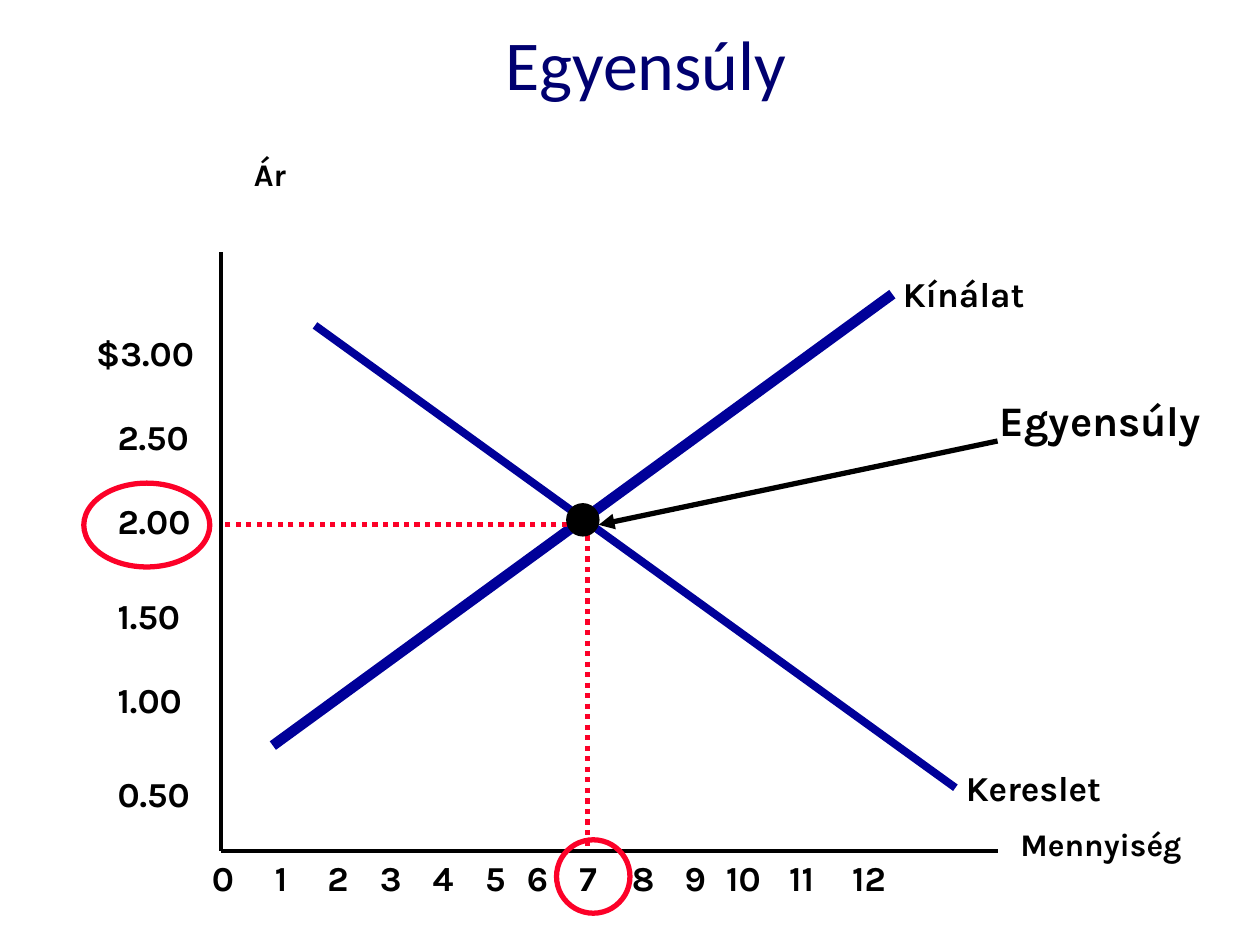
from lxml.etree import SubElement
from pptx import Presentation
from pptx.dml.color import RGBColor
from pptx.enum.dml import MSO_LINE
from pptx.enum.shapes import MSO_CONNECTOR, MSO_SHAPE
from pptx.enum.text import MSO_ANCHOR, PP_ALIGN
from pptx.oxml.ns import qn
from pptx.util import Cm, Pt

BLACK = RGBColor(0x00, 0x00, 0x00)
NAVY = RGBColor(0x00, 0x00, 0x70)
BLUE = RGBColor(0x00, 0x00, 0x99)
RED = RGBColor(0xFC, 0x01, 0x28)

QUANTITY_LEFTS = [4.02, 5.29, 6.35, 7.41, 8.47, 9.53, 10.37,
                  11.43, 12.49, 13.55, 14.39, 15.66, 16.93]
PRICE_TOPS = {"2.50": 8.26, "2.00": 9.95, "1.50": 11.85,
              "1.00": 13.55, "0.50": 15.45}
AXIS_X, AXIS_Y = 4.45, 17.15
EQUILIBRIUM_X, EQUILIBRIUM_Y = 11.85, 10.58


def add_text(slide, text, left, top, width, height, size=20, inset=True):
    sp = slide.shapes.add_textbox(Cm(left), Cm(top), Cm(width), Cm(height))
    tf = sp.text_frame
    tf.word_wrap = inset
    if not inset:
        tf.margin_left = tf.margin_right = tf.margin_top = tf.margin_bottom = 0
    p = tf.paragraphs[0]
    p.text = text
    p.font.name = "Karla"
    p.font.size = Pt(size)
    p.font.bold = True
    p.font.color.rgb = BLACK
    return sp


def add_title(slide, text):
    tf = add_text(slide, text, 0.64, 0.2, 24.76, 2.12, 40).text_frame
    tf.vertical_anchor = MSO_ANCHOR.MIDDLE
    p = tf.paragraphs[0]
    p.alignment = PP_ALIGN.CENTER
    p.font.name = "Calibri"
    p.font.bold = False
    p.font.color.rgb = NAVY


def add_line(slide, start, end, color, width, dash=None, arrow=False):
    x1, y1 = start
    x2, y2 = end
    line = slide.shapes.add_connector(
        MSO_CONNECTOR.STRAIGHT, Cm(x1), Cm(y1), Cm(x2), Cm(y2))
    line.line.color.rgb = color
    line.line.width = Pt(width)
    if dash:
        line.line.dash_style = dash
    if arrow:
        SubElement(line.line._get_or_add_ln(), qn("a:headEnd"), type="triangle")
    SubElement(line._element.spPr, qn("a:effectLst"))


def add_ellipse(slide, left, top, width, height, color, weight, filled=False):
    sp = slide.shapes.add_shape(
        MSO_SHAPE.OVAL, Cm(left), Cm(top), Cm(width), Cm(height))
    sp.shadow.inherit = False
    sp.line.color.rgb = color
    sp.line.width = Pt(weight)
    if filled:
        sp.fill.solid()
        sp.fill.fore_color.rgb = color
    else:
        sp.fill.background()


def add_curves(slide):
    add_line(slide, (5.5, 15.03), (17.99, 5.93), BLUE, 6)
    add_text(slide, "Kínálat", 18.2, 5.5, 2.54, 0.85, inset=False)
    add_line(slide, (6.35, 6.56), (19.26, 15.88), BLUE, 4.5)
    add_text(slide, "Kereslet", 19.47, 15.45, 2.92, 0.85, inset=False)


def add_axes(slide):
    origin = (AXIS_X, AXIS_Y)
    add_line(slide, (AXIS_X, 5.08), origin, BLACK, 2.25)
    add_line(slide, origin, (20.11, AXIS_Y), BLACK, 2.25)
    add_text(slide, "Ár", 4.87, 3, 4.23, 1.02, 18)
    add_text(slide, "Mennyiség", 20.32, 16.51, 4.23, 1.02, 18)
    for quantity, left in enumerate(QUANTITY_LEFTS):
        add_text(slide, str(quantity), left, AXIS_Y, 1.48, 1.11)
    add_text(slide, "$3.00", 1.69, 6.56, 2.54, 1.11)
    for price, top in PRICE_TOPS.items():
        add_text(slide, price, 2.12, top, 2.12, 1.11)


def add_guides(slide):
    point = (EQUILIBRIUM_X, EQUILIBRIUM_Y)
    for foot in ((AXIS_X, EQUILIBRIUM_Y), (EQUILIBRIUM_X, AXIS_Y)):
        add_line(slide, point, foot, RED, 3, dash=MSO_LINE.ROUND_DOT)


def add_equilibrium(slide):
    add_ellipse(slide, 11.43, 10.16, 0.64, 0.64, BLACK, 1, filled=True)
    add_line(slide, (12.07, EQUILIBRIUM_Y), (20.11, 8.89), BLACK, 3, arrow=True)
    add_text(slide, "Egyensúly", 19.9, 7.83, 5.5, 1.28, 24)
    add_ellipse(slide, 1.69, 9.74, 2.54, 1.69, RED, 3)
    add_ellipse(slide, 11.22, 16.93, 1.48, 1.48, RED, 3)


def main():
    prs = Presentation()
    prs.slide_width = Cm(25.4)
    prs.slide_height = Cm(19.05)
    slide = prs.slides.add_slide(prs.slide_layouts[6])
    add_title(slide, "Egyensúly")
    add_curves(slide)
    add_guides(slide)
    add_axes(slide)
    add_equilibrium(slide)
    prs.save("out.pptx")


if __name__ == "__main__":
    main()
